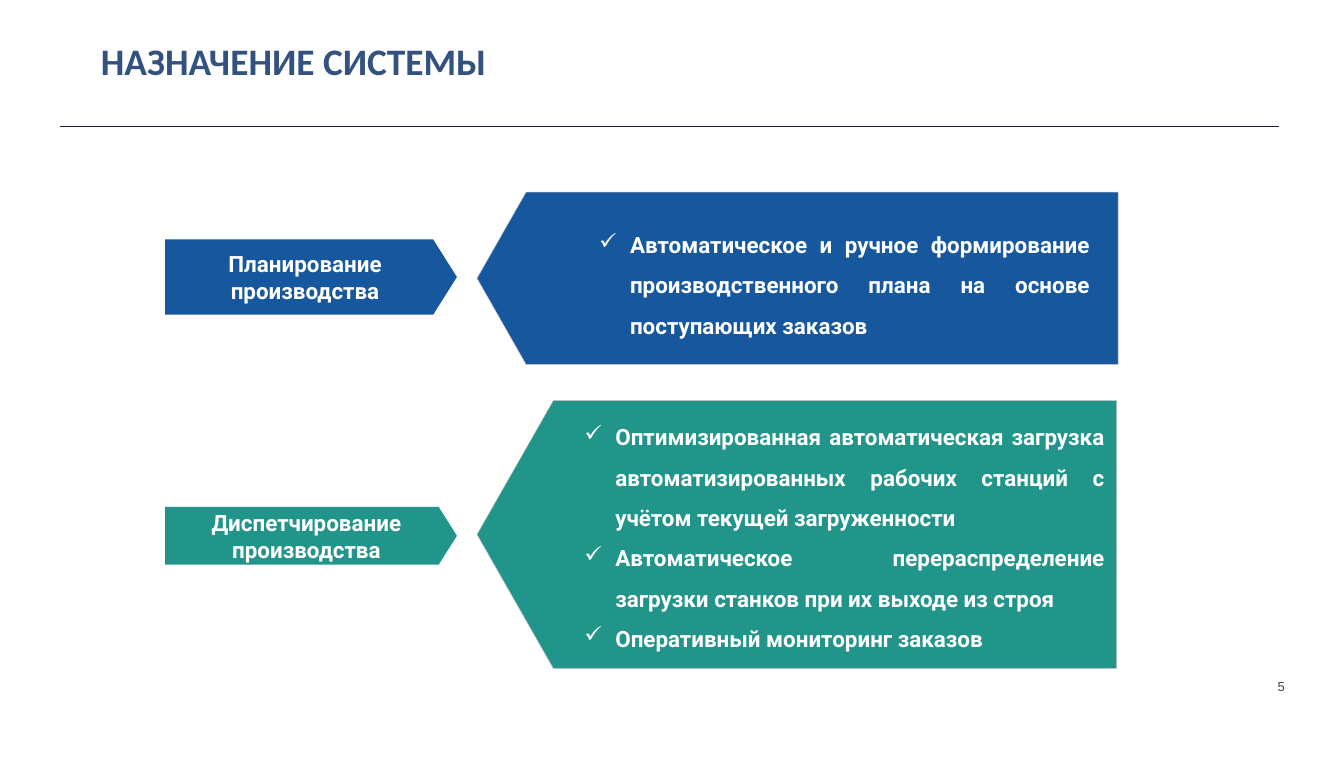
from dataclasses import dataclass

from lxml.etree import SubElement
from pptx import Presentation
from pptx.dml.color import RGBColor
from pptx.enum.shapes import MSO_CONNECTOR, MSO_SHAPE
from pptx.enum.text import MSO_ANCHOR, PP_ALIGN
from pptx.oxml.ns import qn
from pptx.util import Inches, Pt

WIDTH, HEIGHT = Inches(10), Inches(5.63)


@dataclass(frozen=True)
class Theme:
    title: str = "34527F"
    rule: str = "151E36"
    blue: str = "16579D"
    teal: str = "21958A"
    outline: str = "BFBFBF"
    light: str = "FFFFFF"
    number: str = "414042"
    title_font: str = "Calibri"
    body_font: str = "Roboto"
    number_font: str = "Arial"
    title_size: float = 20
    body_size: float = 12
    number_size: float = 7


@dataclass(frozen=True)
class Box:
    """Position and size in a grid of 100 columns by 100 rows."""
    col: float
    row: float
    cols: float
    rows: float

    def emu(self) -> tuple:
        return col(self.col), row(self.row), col(self.cols), row(self.rows)


@dataclass(frozen=True)
class Stage:
    label: str
    label_box: Box
    panel_box: Box
    text_box: Box
    anchor: MSO_ANCHOR
    color: str
    points: tuple


THEME = Theme()
STAGES = (
    Stage("Планирование производства",
          Box(12.3, 31.62, 21.7, 9.95), Box(35.5, 25.4, 47.7, 22.74),
          Box(39.8, 28.06, 42.3, 17.41), MSO_ANCHOR.MIDDLE, THEME.blue,
          ("Автоматическое и ручное формирование производственного плана "
           "на основе поступающих заказов",)),
    Stage("Диспетчирование производства",
          Box(12.3, 66.96, 21.7, 7.64), Box(35.5, 52.93, 47.6, 35.35),
          Box(38.7, 53.29, 44.5, 33.57), MSO_ANCHOR.TOP, THEME.teal,
          ("Оптимизированная автоматическая загрузка автоматизированных "
           "рабочих станций с учётом текущей загруженности",
           "Автоматическое перераспределение загрузки станков "
           "при их выходе из строя",
           "Оперативный мониторинг заказов")),
)


def col(n: float) -> int:
    return int(WIDTH * n / 100)


def row(n: float) -> int:
    return int(HEIGHT * n / 100)


def rgb(color: str) -> RGBColor:
    return RGBColor.from_string(color)


def add_run(p, text: str, font: str, size: float, color: str, bold: bool = True) -> None:
    r = p.add_run()
    r.text = text
    r.font.name = font
    r.font.size = Pt(size)
    r.font.bold = bold
    r.font.color.rgb = rgb(color)


def add_body_run(p, text: str) -> None:
    add_run(p, text, THEME.body_font, THEME.body_size, THEME.light)


def set_frame(tf, anchor: MSO_ANCHOR, flush: bool = False) -> None:
    tf.word_wrap = True
    tf.vertical_anchor = anchor
    if flush:
        tf.margin_left = tf.margin_right = tf.margin_top = tf.margin_bottom = 0


def set_indent(p, left: float, first: float = 0) -> None:
    pPr = p._p.get_or_add_pPr()
    pPr.set("marL", str(Inches(left)))
    pPr.set("indent", str(Inches(first)))


def add_title(s, text: str) -> None:
    sp = s.shapes.title
    sp.left, sp.top, sp.width, sp.height = Box(5.5, 1.95, 39.1, 12.97).emu()
    set_frame(sp.text_frame, MSO_ANCHOR.MIDDLE, flush=True)
    p = sp.text_frame.paragraphs[0]
    p.alignment = PP_ALIGN.LEFT
    p.line_spacing = 0.9
    set_indent(p, 0.2)
    add_run(p, text, THEME.title_font, THEME.title_size, THEME.title)


def add_rule(s) -> None:
    line = s.shapes.add_connector(MSO_CONNECTOR.STRAIGHT, col(4.5), row(16.7),
                                  col(95.2), row(16.7))
    line.line.color.rgb = rgb(THEME.rule)
    line.line.width = Pt(0.75)
    SubElement(line._element.spPr, qn("a:effectLst"))


def add_number(s, text: str) -> None:
    tf = s.shapes.add_textbox(*Box(89.5, 88.99, 6.1, 2.66).emu()).text_frame
    set_frame(tf, MSO_ANCHOR.BOTTOM, flush=True)
    p = tf.paragraphs[0]
    p.alignment = PP_ALIGN.RIGHT
    add_run(p, text, THEME.number_font, THEME.number_size, THEME.number, bold=False)


def add_pentagon(shapes, box: Box, color: str, point: float):
    sp = shapes.add_shape(MSO_SHAPE.PENTAGON, *box.emu())
    sp.adjustments[0] = point
    sp.shadow.inherit = False
    sp.fill.solid()
    sp.fill.fore_color.rgb = rgb(color)
    sp.line.fill.background()
    return sp


def add_panel(shapes, stage: Stage) -> None:
    sp = add_pentagon(shapes, stage.panel_box, stage.color, 0.285)
    sp.line.color.rgb = rgb(THEME.outline)
    sp.line.width = Pt(0.25)
    sp._element.spPr.find(qn("a:xfrm")).set("flipH", "1")


def add_label(shapes, stage: Stage) -> None:
    sp = add_pentagon(shapes, stage.label_box, stage.color, 0.315)
    set_frame(sp.text_frame, MSO_ANCHOR.MIDDLE)
    p = sp.text_frame.paragraphs[0]
    p.alignment = PP_ALIGN.CENTER
    add_body_run(p, stage.label)


def add_points(shapes, stage: Stage) -> None:
    tf = shapes.add_textbox(*stage.text_box.emu()).text_frame
    set_frame(tf, stage.anchor)
    for i, point in enumerate(stage.points):
        p = tf.add_paragraph() if i else tf.paragraphs[0]
        p.level = 1
        p.alignment = PP_ALIGN.JUSTIFY
        p.line_spacing = 1.5
        set_indent(p, 0.61, -0.23)
        SubElement(p._p.get_or_add_pPr(), qn("a:buChar")).set("char", "✓")
        add_body_run(p, point)


def add_stage(s, stage: Stage) -> None:
    shapes = s.shapes.add_group_shape().shapes
    add_panel(shapes, stage)
    add_label(shapes, stage)
    add_points(shapes, stage)


def main() -> None:
    prs = Presentation()
    prs.slide_width, prs.slide_height = WIDTH, HEIGHT
    s = prs.slides.add_slide(prs.slide_layouts[5])
    add_title(s, "НАЗНАЧЕНИЕ СИСТЕМЫ")
    add_rule(s)
    for stage in STAGES:
        add_stage(s, stage)
    add_number(s, "5")
    prs.save("out.pptx")


if __name__ == "__main__":
    main()
